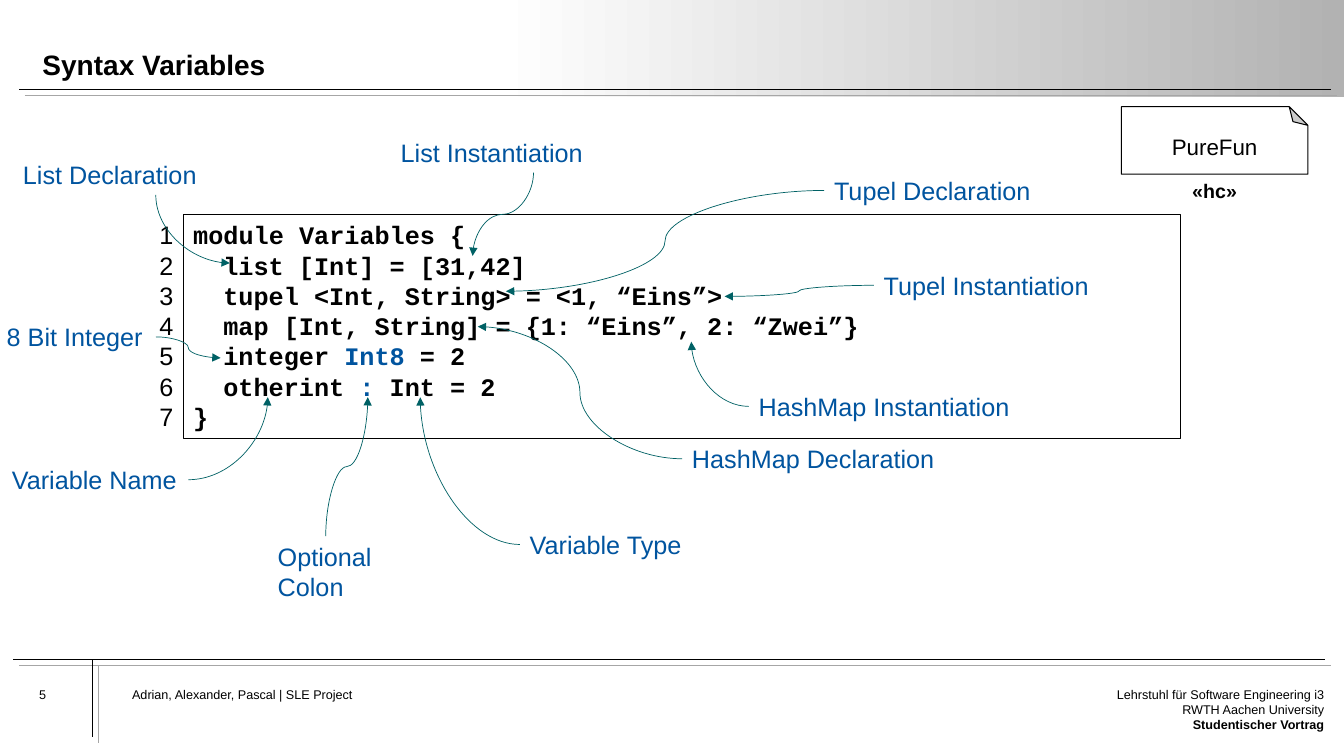
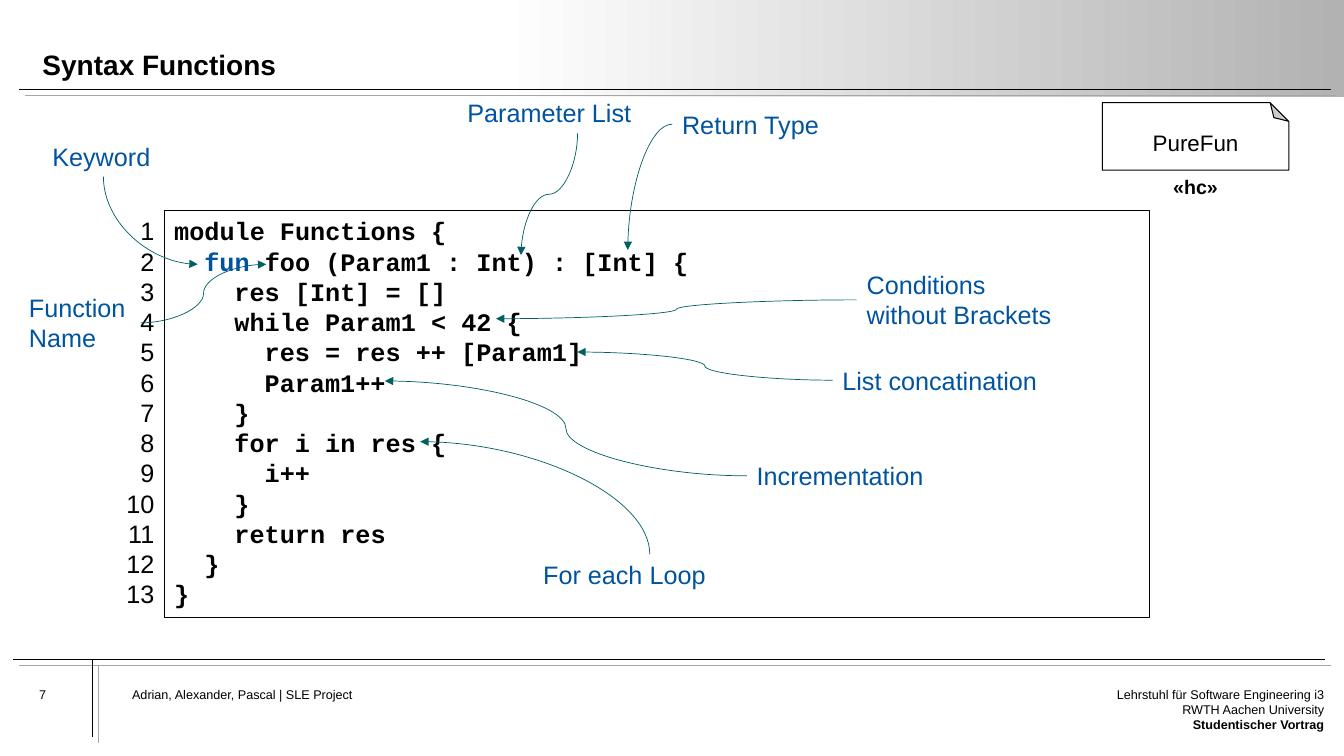
from collections import namedtuple

from lxml.etree import SubElement
from pptx import Presentation
from pptx.dml.color import RGBColor
from pptx.enum.shapes import MSO_CONNECTOR, MSO_SHAPE
from pptx.enum.text import MSO_ANCHOR, MSO_AUTO_SIZE, PP_ALIGN
from pptx.oxml.ns import qn
from pptx.util import Cm, Pt

BLACK = RGBColor(0x00, 0x00, 0x00)
WHITE = RGBColor(0xFF, 0xFF, 0xFF)
GRAY = RGBColor(0xA6, 0xA6, 0xA6)
BAND_GRAY = RGBColor(0xB2, 0xB2, 0xB2)
BLUE = RGBColor(0x00, 0x54, 0x9F)
TEAL = RGBColor(0x00, 0x61, 0x65)

FOOTER_FONT = {"name": "Arial", "size": Pt(9), "bold": False}
TITLE_FONT = {"name": "Arial", "size": Pt(20), "bold": True}
LABEL_FONT = {"name": "Arial", "size": Pt(18), "bold": False}
CODE_FONT = {"name": "Courier New", "size": Pt(18), "bold": True}
TAG_FONT = {"name": "Arial", "size": Pt(16), "bold": False}
STEREOTYPE_FONT = {"name": "Arial", "size": Pt(14), "bold": True}

NO_MARGINS = {f"margin_{side}": 0 for side in ("left", "top", "right", "bottom")}
LINE_HEIGHT = 0.77
INSET = 0.25
INDENT = 0.76  # two monospaced characters at 18 pt

# All box values are centimetres
Box = namedtuple("Box", "left top width height")
Callout = namedtuple("Callout", "text left top width side bend tip lines", defaults=[1])
PAGE = Box(0, 0, 33.87, 19.05)


def lengths(*values):
    return [Cm(value) for value in values]


def set_values(target, values):
    for name, value in values.items():
        setattr(target, name, value)


def add_run(paragraph, text, font, color=BLACK):
    run = paragraph.add_run()
    run.text = text
    set_values(run.font, font)
    run.font.color.rgb = color


def write_lines(frame, lines, font, color=BLACK, align=PP_ALIGN.LEFT):
    """Write one paragraph a line; text between backticks is blue."""
    for index, line in enumerate(lines):
        paragraph = frame.paragraphs[0] if index == 0 else frame.add_paragraph()
        paragraph.alignment = align
        for position, part in enumerate(line.split("`")):
            if part:
                add_run(paragraph, part, font, BLUE if position % 2 else color)


def add_text(slide, box, lines, font, color=BLACK, align=PP_ALIGN.LEFT, **frame_values):
    frame = slide.shapes.add_textbox(*lengths(*box)).text_frame
    set_values(frame, {"word_wrap": True, **frame_values})
    write_lines(frame, lines, font, color, align)
    return frame


def add_outlined(slide, preset, box):
    shape = slide.shapes.add_shape(preset, *lengths(*box))
    shape.shadow.inherit = False
    shape.line.color.rgb = BLACK
    shape.line.width = Pt(0.75)
    return shape


def style_connector(connector, color):
    connector.line.color.rgb = color
    connector.line.width = Pt(0.5)
    SubElement(connector._element.spPr, qn("a:effectLst"))


# Frame shared by all slides
def add_double_line(slide, left, top, right, bottom):
    for shift, color in ((0, BLACK), (0.15, GRAY)):
        ends = (value + shift for value in (left, top, right, bottom))
        line = slide.shapes.add_connector(MSO_CONNECTOR.STRAIGHT, *lengths(*ends))
        style_connector(line, color)


def add_header(slide, box, title_text):
    # Gradient band
    band = slide.shapes.add_shape(
        MSO_SHAPE.RECTANGLE,
        *lengths(box.left + 12.52, box.top, box.width - 12.52, box.height))
    band.shadow.inherit = False
    band.line.fill.background()
    band.fill.gradient()
    band.fill.gradient_angle = 0
    for stop, color, position in zip(band.fill.gradient_stops, (WHITE, BAND_GRAY), (0, 1)):
        stop.color.rgb = color
        stop.position = position
    rule_top = box.top + 2.26
    add_double_line(slide, box.left + 0.48, rule_top, box.left + 33.55, rule_top)

    # Title, in front of the band
    title = slide.shapes.title
    area = lengths(box.left + 1.07, box.top + 0.56, 31.9, 1.5)
    set_values(title, dict(zip(Box._fields, area)))
    set_values(title.text_frame, {
        **NO_MARGINS, "vertical_anchor": MSO_ANCHOR.BOTTOM,
        "auto_size": MSO_AUTO_SIZE.NONE, "word_wrap": True})
    write_lines(title.text_frame, [title_text], TITLE_FONT)
    title.text_frame.paragraphs[0].line_spacing = 0.9
    slide.shapes._spTree.append(title._element)


def add_footer(slide, box, number):
    left, top = box.left, box.top
    add_double_line(slide, left + 0.33, top, left + 33.38, top)
    add_double_line(slide, left + 2.34, top, left + 2.34, top + 1.96)
    text_top = top + 0.69
    add_text(slide, Box(left + 0.99, text_top, 2.03, 1.09), [str(number)],
             FOOTER_FONT, **NO_MARGINS)
    add_text(slide, Box(left + 3.33, text_top, 19.46, 1.75),
             ["Adrian, Alexander, Pascal | SLE Project"], FOOTER_FONT, **NO_MARGINS)
    chair = add_text(slide, Box(left + 27.91, text_top, 5.46, 1.75),
                     ["Lehrstuhl für Software Engineering i3", "RWTH Aachen University"],
                     FOOTER_FONT, align=PP_ALIGN.RIGHT, **NO_MARGINS)
    chair.paragraphs[1].add_line_break()
    add_run(chair.paragraphs[1], "Studentischer Vortrag", {**FOOTER_FONT, "bold": True})


# Code listing with line numbers and language tag
def add_code(slide, box, code):
    listing = add_outlined(slide, MSO_SHAPE.RECTANGLE, box)
    listing.fill.background()
    frame = listing.text_frame
    set_values(frame, {"vertical_anchor": MSO_ANCHOR.TOP, "word_wrap": True})
    write_lines(frame, [line for _, line in code], CODE_FONT)
    for paragraph, (level, _) in zip(frame.paragraphs, code):
        properties = paragraph._p.get_or_add_pPr()
        properties.set("marL", str(Cm(level * INDENT)))
        properties.set("indent", "0")

    numbers = [str(number) for number in range(1, len(code) + 1)]
    add_text(slide, Box(box.left - 2.55, box.top, 2.55, box.height), numbers,
             LABEL_FONT, align=PP_ALIGN.RIGHT)


def add_tag(slide, box):
    tag = add_outlined(slide, MSO_SHAPE.FOLDED_CORNER, box)
    tag.fill.solid()
    tag.fill.fore_color.rgb = WHITE
    # Fold size, fold at the top, text kept upright
    properties = tag._element.spPr
    guides = properties.find(qn("a:prstGeom")).get_or_add_avLst()
    for guide in list(guides):
        guides.remove(guide)
    SubElement(guides, qn("a:gd"), name="adj", fmla="val 27600")
    properties.find(qn("a:xfrm")).set("flipV", "1")
    frame = tag.text_frame
    frame._txBody.find(qn("a:bodyPr")).set("rot", "10800000")
    set_values(frame, {"vertical_anchor": MSO_ANCHOR.MIDDLE, "word_wrap": False})
    write_lines(frame, ["PureFun"], TAG_FONT, align=PP_ALIGN.CENTER)
    frame.paragraphs[0].line_spacing = 0.7
    add_text(slide, Box(box.left + 0.84, box.top + box.height, 3.02, 1.7), ["«hc»"],
             STEREOTYPE_FONT, align=PP_ALIGN.CENTER, word_wrap=False)


# Callouts around the listing
def add_curve(slide, start, tip, vertical, bend):
    """Curve leaving start vertically or horizontally, with an arrowhead at tip."""
    across, down = tip[0] - start[0], tip[1] - start[1]
    opposed = across * down < 0
    width, height = abs(across), abs(down)
    if vertical:
        width, height = height, width
        rotation = 90 if opposed else 270
        flips = {"flipH": opposed == (down < 0), "flipV": down < 0}
    else:
        rotation = 180 if across < 0 else 0
        flips = {"flipH": False, "flipV": opposed}
    left = (start[0] + tip[0] - width) / 2
    top = (start[1] + tip[1] - height) / 2
    curve = slide.shapes.add_connector(
        MSO_CONNECTOR.CURVE, *lengths(left, top, left + width, top + height))
    style_connector(curve, TEAL)
    properties = curve._element.spPr
    transform = properties.find(qn("a:xfrm"))
    transform.set("rot", str(rotation * 60000))
    for name, flipped in flips.items():
        if flipped:
            transform.set(name, "1")
    preset = {"arc": "curvedConnector2", "wave": "curvedConnector3"}[bend]
    properties.find(qn("a:prstGeom")).set("prst", preset)
    SubElement(properties.find(qn("a:ln")), qn("a:tailEnd")).set("type", "triangle")


def add_callout(slide, box, callout):
    left, top = box.left + callout.left, box.top + callout.top
    width, height = callout.width, INSET + callout.lines * LINE_HEIGHT
    add_text(slide, Box(left, top, width, height), [callout.text], LABEL_FONT, BLUE)
    start = {
        "left": (left, top + height / 2),
        "right": (left + width, top + height / 2),
        "top": (left + width / 2, top),
        "bottom": (left + width / 2, top + height),
    }[callout.side]
    tip = (box.left + callout.tip[0], box.top + callout.tip[1])
    add_curve(slide, start, tip, callout.side in ("top", "bottom"), callout.bend)


def add_syntax_slide(presentation, number, title, corner, width, code, callouts):
    slide = presentation.slides.add_slide(presentation.slide_layouts[5])
    add_header(slide, Box(PAGE.left, PAGE.top, PAGE.width, 2.44), title)
    add_footer(slide, Box(PAGE.left, 16.61, PAGE.width, 2.44), number)
    box = Box(*corner, width, INSET + len(code) * LINE_HEIGHT)
    add_code(slide, box, code)
    add_tag(slide, Box(box.left + 23.64, box.top - 2.72, 4.7, 1.7))
    for callout in callouts:
        add_callout(slide, box, callout)


# Code lines are (indent level, text)
VARIABLES_CODE = [
    (0, "module Variables {"),
    (1, "list [Int] = [31,42]"),
    (1, "tupel <Int, String> = <1, “Eins”>"),
    (1, "map [Int, String] = {1: “Eins”, 2: “Zwei”}"),
    (1, "integer `Int8` = 2"),
    (1, "otherint `:` Int = 2"),
    (0, "}"),
]
FUNCTIONS_CODE = [
    (0, "module Functions {"),
    (1, "`fun` foo (Param1 : Int) : [Int] {"),
    (2, "res [Int] = []"),
    (2, "while Param1 < 42 {"),
    (3, "res = res ++ [Param1]"),
    (3, "Param1++"),
    (2, "}"),
    (2, "for i in res {"),
    (3, "i++"),
    (2, "}"),
    (2, "return res"),
    (1, "}"),
    (0, "}"),
]

# Callout positions and tips are offsets from the listing's corner
VARIABLES_CALLOUTS = [
    Callout("8 Bit Integer", -4.7, 2.57, 4.01, "right", "wave", (0.94, 3.61)),
    Callout("Optional Colon", 2.13, 8.1, 2.92, "top", "wave", (4.65, 4.6), 2),
    Callout("Variable Name", -4.57, 6.17, 4.7, "right", "arc", (2.13, 4.6)),
    Callout("Variable Type", 8.48, 7.8, 4.78, "left", "arc", (5.97, 4.6)),
    Callout("HashMap Declaration", 12.57, 5.64, 7.19, "left", "wave", (7.42, 2.82)),
    Callout("HashMap Instantiation", 14.25, 4.32, 7.19, "left", "arc", (12.8, 3.2)),
    Callout("Tupel Declaration", 16.15, -1.12, 7.19, "left", "wave", (8.13, 1.93)),
    Callout("Tupel Instantiation", 17.4, 1.27, 7.19, "left", "wave", (13.64, 2.06)),
    Callout("List Declaration", -4.29, -1.52, 7.19, "bottom", "arc", (1.17, 1.22)),
    Callout("List Instantiation", 5.23, -2.08, 7.19, "bottom", "wave", (7.29, 1.04)),
]
FUNCTIONS_CALLOUTS = [
    Callout("Keyword", -3.07, -1.88, 3.07, "bottom", "arc", (0.84, 1.35)),
    Callout("Conditions without Brackets", 17.45, 1.35, 5.44, "left", "wave", (8.36, 2.72), 2),
    Callout("For each Loop", 9.3, 8.66, 5.87, "top", "arc", (6.45, 5.82)),
    Callout("Return Type", 12.8, -2.69, 6.05, "left", "arc", (11.68, 0.99)),
    Callout("Parameter List", 7.39, -2.97, 6.05, "bottom", "wave", (8.99, 1.12)),
    Callout("Function Name", -3.66, 1.93, 3.07, "right", "wave", (2.57, 1.35), 2),
    Callout("List concatination", 16.84, 3.76, 6.32, "left", "wave", (10.41, 3.56)),
    Callout("Incrementation", 14.68, 6.17, 6.32, "left", "wave", (5.56, 4.29)),
]

presentation = Presentation()
presentation.slide_width, presentation.slide_height = lengths(PAGE.width, PAGE.height)
add_syntax_slide(presentation, 5, "Syntax Variables", (4.62, 5.41), 25.12,
                 VARIABLES_CODE, VARIABLES_CALLOUTS)
add_syntax_slide(presentation, 7, "Syntax Functions", (4.14, 5.31), 24.82,
                 FUNCTIONS_CODE, FUNCTIONS_CALLOUTS)
presentation.save("out.pptx")
